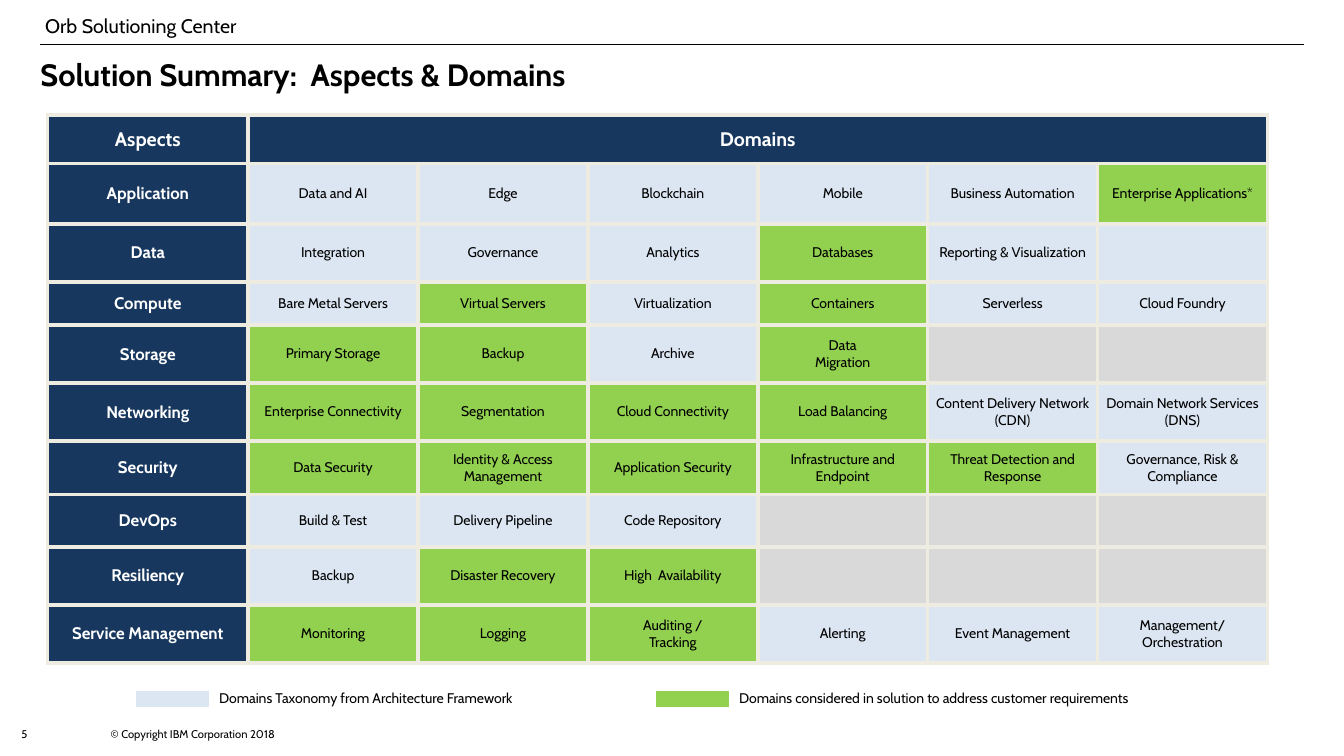
from lxml.etree import SubElement
from pptx import Presentation
from pptx.dml.color import RGBColor
from pptx.enum.shapes import MSO_CONNECTOR
from pptx.enum.text import MSO_ANCHOR as Anchor, PP_ALIGN as Align
from pptx.oxml import parse_xml
from pptx.oxml.ns import nsdecls, qn
from pptx.util import Cm, Pt

BLACK = RGBColor(0x00, 0x00, 0x00)
WHITE = RGBColor(0xFF, 0xFF, 0xFF)
NAVY = RGBColor(0x17, 0x37, 0x5E)
LIGHT = RGBColor(0xDC, 0xE6, 0xF2)
GREEN = RGBColor(0x92, 0xD0, 0x50)
GREY = RGBColor(0xD9, 0xD9, 0xD9)
CREAM = RGBColor(0xEE, 0xEC, 0xE1)

# Content: "+" marks a domain considered in the solution, None an unused cell
HEADINGS = ("Aspects", "Domains")
HEADING_HEIGHT = 1.22
ASPECTS = [
    ("Application", 1.52, ["Data and AI", "Edge", "Blockchain", "Mobile",
                           "Business Automation", "+Enterprise Applications*"]),
    ("Data", 1.46, ["Integration", "Governance", "Analytics", "+Databases",
                    "Reporting & Visualization", ""]),
    ("Compute", 1.09, ["Bare Metal Servers", "+Virtual Servers", "Virtualization",
                       "+Containers", "Serverless", "Cloud Foundry"]),
    ("Storage", 1.46, ["+Primary Storage", "+Backup", "Archive",
                       "+Data\nMigration", None, None]),
    ("Networking", 1.46, ["+Enterprise Connectivity", "+Segmentation",
                          "+Cloud Connectivity", "+Load Balancing",
                          "Content Delivery Network (CDN)",
                          "Domain Network Services (DNS)"]),
    ("Security", 1.35, ["+Data Security", "+Identity & Access Management",
                        "+Application Security", "+Infrastructure and Endpoint",
                        "+Threat Detection and Response",
                        "Governance, Risk & Compliance"]),
    ("DevOps", 1.32, ["Build & Test", "Delivery Pipeline", "Code Repository",
                      None, None, None]),
    ("Resiliency", 1.46, ["Backup", "+Disaster Recovery", "+High  Availability",
                          None, None, None]),
    ("Service Management", 1.46, ["+Monitoring", "+Logging", "+Auditing /\nTracking",
                                  "Alerting", "Event Management",
                                  "Management/ Orchestration"]),
]
# left, text width, swatch colour, text
LEGENDS = [
    (3.33, 8.92, LIGHT, "Domains Taxonomy from Architecture Framework"),
    (16.43, 12.02, GREEN,
     "Domains considered in solution to address customer requirements"),
]
# text, (left, top, width, height), margins (l, t, r, b), font, frame
TEXTS = [
    ("Orb Solutioning Center", (1.14, 0.33, 5.18, 0.61), (0, 0, 0, 0),
     {"size": Pt(14)}, {"vertical_anchor": Anchor.MIDDLE, "word_wrap": False}),
    ("Solution Summary:  Aspects & Domains", (1.02, 1.27, 31.83, 1.45),
     (0, 0.13, 0, 0.13), {"size": Pt(22), "bold": True}, {"word_wrap": True}),
    ("5", (0.13, 18.16, 2.13, 0.89), (0.41, 0.18, 0.25, 0.13),
     {"size": Pt(8)}, {"word_wrap": True}),
    ("© Copyright IBM Corporation 2018", (2.54, 18.21, 6.6, 0.58),
     (0.25, 0.13, 0.25, 0.13), {"size": Pt(8)}, {"word_wrap": True}),
]
HEADING = {"size": Pt(14), "bold": True}
ASPECT = {"size": Pt(12), "bold": True}
DOMAIN = {"size": Pt(10), "bold": False}


def set_values(target, values):
    for name, value in values.items():
        setattr(target, name, value)


def set_margins(target, margins):
    for side, margin in zip(("left", "top", "right", "bottom"), margins):
        setattr(target, f"margin_{side}", Cm(margin))


def write(text_frame, text, font, color=BLACK, align=Align.LEFT):
    for index, line in enumerate(text.split("\n")):
        paragraph = text_frame.add_paragraph() if index else text_frame.paragraphs[0]
        paragraph.alignment = align
        if line:
            run = paragraph.add_run()
            run.text = line
            set_values(run.font, {"name": "Cabin", **font})
            run.font.color.rgb = color
        else:  # keeps an empty cell from growing its row
            SubElement(paragraph._p, qn("a:endParaRPr"), sz="800")


def add_grid(slide, left, top, widths, heights):
    shape = slide.shapes.add_table(len(heights), len(widths), Cm(left), Cm(top),
                                   Cm(sum(widths)), Cm(sum(heights)))
    table = shape.table
    set_values(table, {"first_row": False, "horz_banding": False})
    for column, width in zip(table.columns, widths):
        column.width = Cm(width)
    for row, height in zip(table.rows, heights):
        row.height = Cm(height)
    return table


def style_cell(cell, fill, border, border_points, margin):
    cell.fill.solid()
    cell.fill.fore_color.rgb = fill
    cell.vertical_anchor = Anchor.MIDDLE
    set_margins(cell, (0.15, margin, 0.15, margin))
    properties = cell._tc.get_or_add_tcPr()
    for index, side in enumerate("LRTB"):
        properties.insert(index, parse_xml(
            f'<a:ln{side} {nsdecls("a")} w="{Pt(border_points)}"><a:solidFill>'
            f'<a:srgbClr val="{border}"/></a:solidFill></a:ln{side}>'))


def domain_fill(domain):
    if domain is None:
        return GREY
    return GREEN if domain.startswith("+") else LIGHT


presentation = Presentation()
set_values(presentation, {"slide_width": Cm(33.86), "slide_height": Cm(19.05)})
slide = presentation.slides.add_slide(presentation.slide_layouts[6])

# Header rule
rule = slide.shapes.add_connector(MSO_CONNECTOR.STRAIGHT,
                                  Cm(1.02), Cm(1.12), Cm(32.84), Cm(1.12))
rule.line.color.rgb = BLACK
rule.line.width = Pt(0.75)
SubElement(rule._element.spPr, qn("a:effectLst"))

# Header, title and footer texts
for text, box, margins, font, frame in TEXTS:
    text_frame = slide.shapes.add_textbox(*map(Cm, box)).text_frame
    set_margins(text_frame, margins)
    set_values(text_frame, frame)
    write(text_frame, text, font)

# Legends: a colour swatch beside its meaning
for left, width, color, text in LEGENDS:
    legend = add_grid(slide, left, 17.32, [2.04, width], [0.58])
    for cell, fill, label in zip(legend.iter_cells(), (color, WHITE), ("", text)):
        style_cell(cell, fill, WHITE, 6, 0.07)
        write(cell.text_frame, label, DOMAIN)

# Aspects and domains
table = add_grid(slide, 1.2, 2.9, [5.05] + [4.28] * 6,
                 [HEADING_HEIGHT] + [height for _, height, _ in ASPECTS])
for cell in table.rows[0].cells:
    style_cell(cell, NAVY, CREAM, 3, 0.1)
table.cell(0, 1).merge(table.cell(0, 6))
for column, heading in enumerate(HEADINGS):
    write(table.cell(0, column).text_frame, heading, HEADING, WHITE, Align.CENTER)

for row, (aspect, _, domains) in enumerate(ASPECTS, start=1):
    cell = table.cell(row, 0)
    style_cell(cell, NAVY, CREAM, 3, 0.1)
    write(cell.text_frame, aspect, ASPECT, WHITE, Align.CENTER)
    for column, domain in enumerate(domains, start=1):
        cell = table.cell(row, column)
        style_cell(cell, domain_fill(domain), CREAM, 3, 0.1)
        write(cell.text_frame, (domain or "").lstrip("+"), DOMAIN, BLACK, Align.CENTER)

presentation.save("out.pptx")
